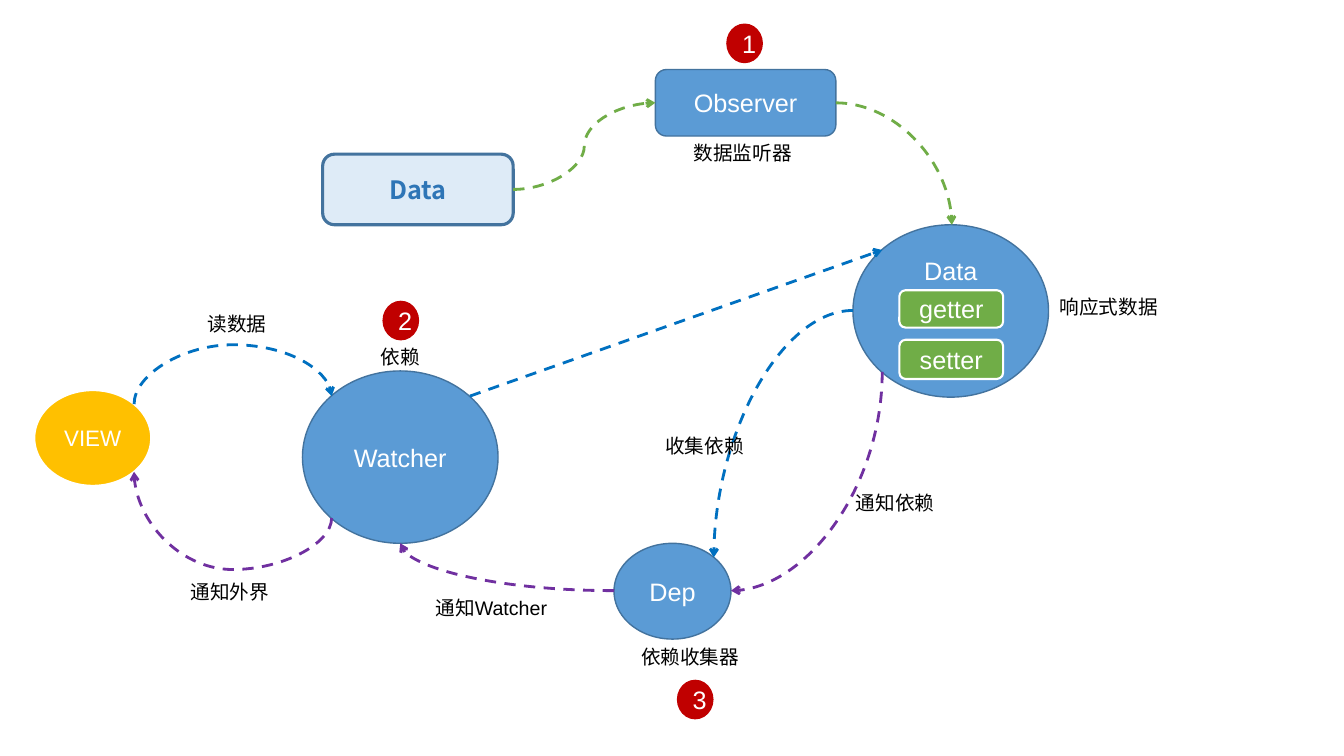
from lxml.etree import SubElement
from pptx import Presentation
from pptx.dml.color import RGBColor as RGB
from pptx.enum.dml import MSO_LINE
from pptx.enum.shapes import MSO_CONNECTOR as CONN, MSO_SHAPE as SHAPE
from pptx.enum.text import MSO_ANCHOR as ANCHOR, PP_ALIGN as ALIGN
from pptx.oxml.ns import qn
from pptx.util import Inches, Pt

THEME = {
    "latin": "Arial", "cjk": "Noto Sans CJK SC",
    "node": 18, "view": 16, "label": 14,
    "white": "FFFFFF", "black": "000000", "blue": "5B9BD5", "edge": "43739E",
    "pale": "DEEBF7", "deep": "2E75B6", "green": "70AD47", "amber": "FFC000",
    "red": "C00000", "read": "0070C0", "notify": "7030A0",
}


def add_text(sp, text, size, color, font="latin", bold=False, align=ALIGN.CENTER):
    """Write one formatted line of text into a shape."""
    tf = sp.text_frame
    tf.word_wrap = True
    p = tf.paragraphs[0]
    p.alignment = align
    r = p.add_run()
    r.text = text
    formats = {"name": THEME[font], "size": Pt(THEME[size]), "bold": bold}
    for name, value in formats.items():
        setattr(r.font, name, value)
    r.font.color.rgb = RGB.from_string(THEME[color])
    SubElement(r.font._element, qn("a:ea")).set("typeface", THEME["cjk"])


def add_node(shapes, kind, box, text, fill, line, width, size="node",
             color="white", **style):
    """Add a filled, outlined shape with centred text."""
    sp = shapes.add_shape(kind, *map(Inches, box))
    sp.shadow.inherit = False
    sp.fill.solid()
    sp.fill.fore_color.rgb = RGB.from_string(THEME[fill])
    sp.line.color.rgb = RGB.from_string(THEME[line])
    sp.line.width = Pt(width)
    sp.text_frame.vertical_anchor = ANCHOR.MIDDLE
    add_text(sp, text, size, color, **style)
    return sp


prs = Presentation()
prs.slide_width, prs.slide_height = Inches(13.33), Inches(7.5)
shapes = prs.slides.add_slide(prs.slide_layouts[6]).shapes

# Source data, watcher, dependency collector, view and observer
add_node(shapes, SHAPE.ROUNDED_RECTANGLE, (3.2, 1.53, 1.89, 0.7), "Data",
         "pale", "edge", 2.25, color="deep", font="cjk", bold=True)
add_node(shapes, SHAPE.ROUNDED_RECTANGLE, (6.5, 0.69, 1.79, 0.66), "Observer",
         "blue", "edge", 1)
add_node(shapes, SHAPE.OVAL, (3, 3.68, 1.94, 1.71), "Watcher", "blue", "edge", 1)
add_node(shapes, SHAPE.OVAL, (6.09, 5.39, 1.16, 0.95), "Dep", "blue", "edge", 1)
add_node(shapes, SHAPE.OVAL, (0.34, 3.87, 1.16, 0.95), "VIEW",
         "amber", "white", 1.5, size="view")

# Reactive data with its accessors
reactive = shapes.add_group_shape().shapes
sp = add_node(reactive, SHAPE.OVAL, (8.46, 2.23, 1.94, 1.71), "Data",
              "blue", "edge", 1)
sp.text_frame.vertical_anchor = ANCHOR.TOP
for accessor, top, height in (("getter", 2.88, 0.37), ("setter", 3.37, 0.39)):
    add_node(reactive, SHAPE.ROUNDED_RECTANGLE, (8.92, top, 1.03, height),
             accessor, "green", "white", 1.5)

# Arrows: preset, start, end, colour, leaves vertically, height of the bend
arrows = [
    ("curvedConnector3", (5.09, 1.88), (6.5, 1.02), "green", False, None),
    ("curvedConnector2", (8.29, 1.02), (9.44, 2.23), "green", False, None),
    ("curvedConnector2", (8.46, 3.08), (7.08, 5.53), "read", False, None),
    ("curvedConnector2", (6.09, 5.86), (3.97, 5.39), "notify", False, None),
    ("curvedConnector3", (1.33, 4.01), (3.29, 3.93), "read", True, 3.42),
    ("curvedConnector3", (3.29, 5.14), (1.33, 4.68), "notify", True, 5.65),
    ("curvedConnector2", (8.75, 3.69), (7.25, 5.86), "notify", True, None),
    ("line", (4.66, 3.93), (8.75, 2.48), "read", False, None),
]
for preset, (x1, y1), (x2, y2), color, vertical, bend in arrows:
    dx, dy = x2 - x1, y2 - y1
    ends = (x1, y1, x2, y2)
    if vertical:  # lay the box on its side, then turn it by 90 degrees
        cx, cy = (x1 + x2) / 2, (y1 + y2) / 2
        ends = (cx - dy / 2, cy + dx / 2, cx + dy / 2, cy - dx / 2)
    kind = CONN.STRAIGHT if preset == "line" else CONN.CURVE
    cxn = shapes.add_connector(kind, *map(Inches, ends))
    sp_pr = cxn._element.spPr
    if vertical:
        sp_pr.find(qn("a:xfrm")).set("rot", str(90 * 60000))
    geom = sp_pr.find(qn("a:prstGeom"))
    geom.set("prst", preset)
    if bend is not None:
        guide = SubElement(geom.find(qn("a:avLst")), qn("a:gd"))
        guide.set("name", "adj1")
        guide.set("fmla", f"val {round((bend - y1) / dy * 100000)}")
    cxn.line.color.rgb = RGB.from_string(THEME[color])
    cxn.line.width = Pt(2)
    cxn.line.dash_style = MSO_LINE.DASH
    SubElement(cxn.line._get_or_add_ln(), qn("a:tailEnd")).set("type", "arrow")
    SubElement(sp_pr, qn("a:effectLst"))

labels = [
    ("读数据", 1.96, 3.05, 1.05), ("通知外界", 1.79, 5.7, 1.05),
    ("通知Watcher", 4.22, 5.86, 1.42), ("收集依赖", 6.5, 4.26, 1.42),
    ("通知依赖", 8.39, 4.82, 1.42), ("数据监听器", 6.78, 1.35, 1.23),
    ("响应式数据", 10.41, 2.88, 1.23), ("依赖", 3.68, 3.37, 0.74),
    ("依赖收集器", 6.26, 6.35, 1.37),
]
for text, left, top, width in labels:
    sp = shapes.add_textbox(*map(Inches, (left, top, width, 0.34)))
    add_text(sp, text, "label", "black", align=ALIGN.LEFT)

badges = [(7.21, 0.24), (3.8, 2.99), (6.72, 6.75)]
for number, (left, top) in enumerate(badges, 1):
    add_node(shapes, SHAPE.OVAL, (left, top, 0.35, 0.38), str(number),
             "red", "red", 1)

prs.save("out.pptx")
